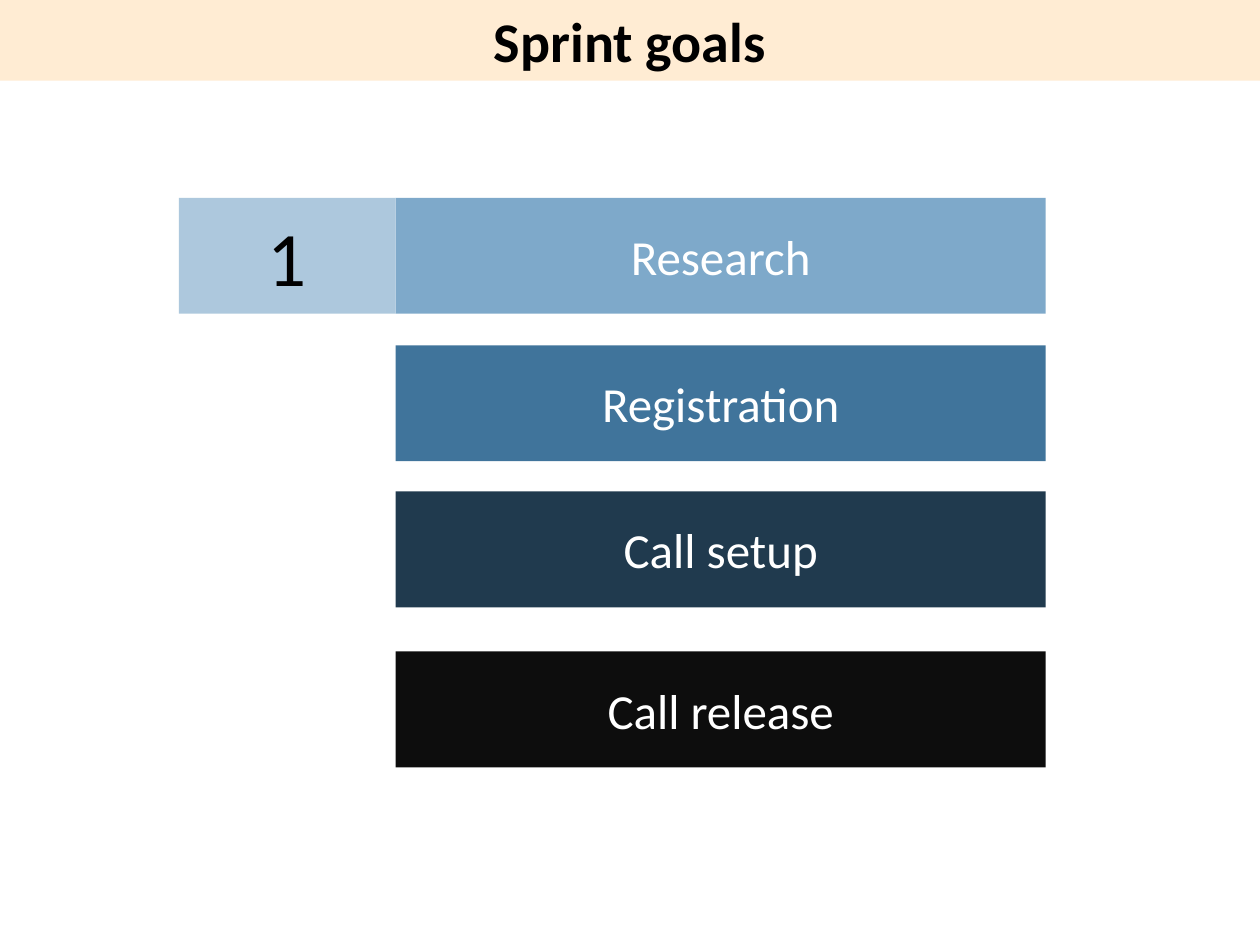
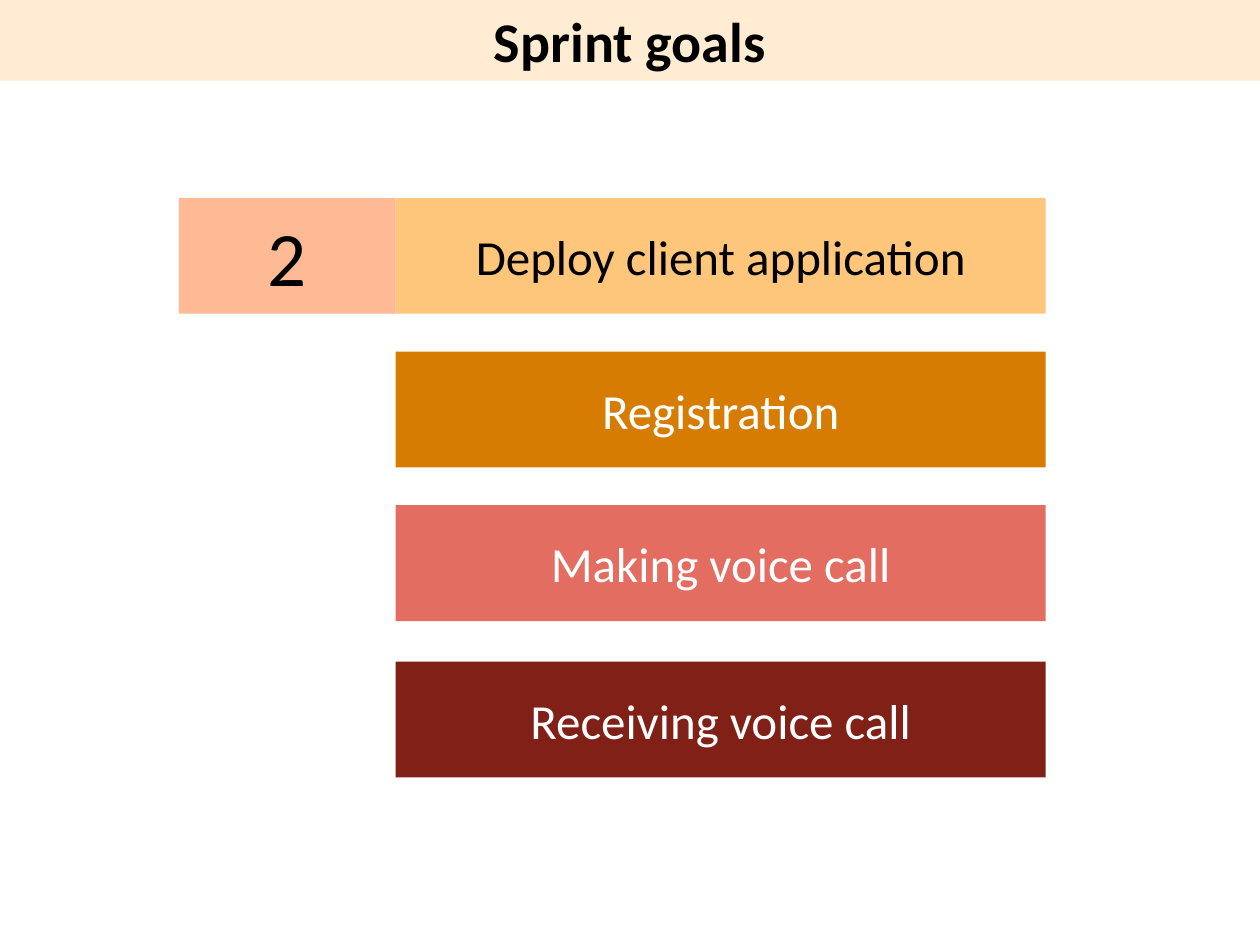
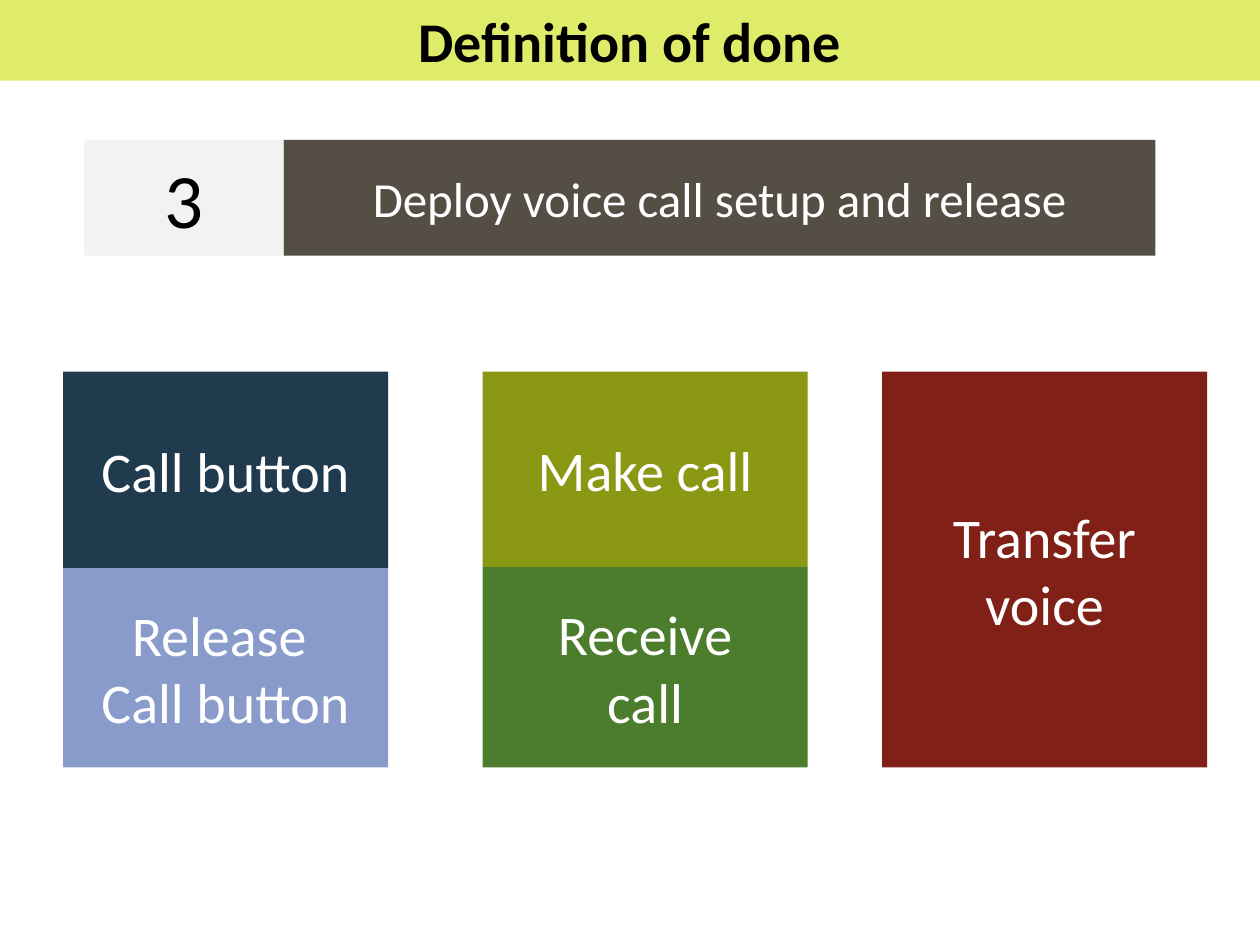
from dataclasses import dataclass

from pptx import Presentation
from pptx import util as u
from pptx.dml.color import RGBColor
from pptx.enum import shapes, text


@dataclass(frozen=True)
class Theme:
    """Colours and type sizes shared by the slides."""
    font: str = "Calibri"
    title_pt: float = 32
    number_pt: float = 44
    bar_pt: float = 28
    card_pt: float = 32
    black: str = "000000"
    white: str = "FFFFFF"
    cream: str = "FFECD3"
    lime: str = "DFEC69"
    mist: str = "ADC8DD"
    sky: str = "7EA9CA"
    steel: str = "40749B"
    navy: str = "203A4E"
    ink: str = "0D0D0D"
    peach: str = "FDBA95"
    amber: str = "FEC67B"
    orange: str = "D67C02"
    coral: str = "E36D61"
    maroon: str = "802017"
    pale: str = "F2F2F2"
    umber: str = "554E45"
    olive: str = "8B9813"
    green: str = "4B7D2C"
    lilac: str = "899BCA"


T = Theme()
SLIDE_W, SLIDE_H = 720, 540
BAND_H = 46.08
BAR_H = 66.24
NUMBER_X, BAR_X, BAR_W = 102.24, 226.08, 371.52
CARD_W, CARD_TOP, CARD_BOTTOM = 185.76, 212.4, 438.48


def apply(obj, values):
    """Set each named attribute on obj."""
    for name, value in values.items():
        setattr(obj, name, value)


def fill_shape(sp, color):
    """Give a shape a plain fill."""
    sp.fill.solid()
    sp.fill.fore_color.rgb = RGBColor.from_string(color)


def write(sp, words, size, color, bold=False, anchor=text.MSO_ANCHOR.MIDDLE):
    """Write centred lines of text into a shape."""
    tf = sp.text_frame
    apply(tf, {"word_wrap": True, "auto_size": text.MSO_AUTO_SIZE.NONE,
               "vertical_anchor": anchor})
    tf.text = words
    for p in tf.paragraphs:
        p.alignment = text.PP_ALIGN.CENTER
        for r in p.runs:
            apply(r.font, {"name": T.font, "size": u.Pt(size), "bold": bold})
            r.font.color.rgb = RGBColor.from_string(color)


def add_titled_slide(prs, title, band):
    """Add a slide whose title fills a coloured band at the top."""
    slide = prs.slides.add_slide(prs.slide_layouts[5])
    sp = slide.shapes.title
    apply(sp, {"left": 0, "top": 0, "width": u.Pt(SLIDE_W), "height": u.Pt(BAND_H)})
    fill_shape(sp, band)
    write(sp, title, T.title_pt, T.black, bold=True, anchor=text.MSO_ANCHOR.TOP)
    return slide


def add_box(parent, box, words, fill, size, color=T.white):
    """Add a flat rectangle with centred text."""
    sp = parent.shapes.add_shape(shapes.MSO_SHAPE.RECTANGLE, *map(u.Pt, box))
    sp.shadow.inherit = False
    sp.line.fill.background()
    fill_shape(sp, fill)
    write(sp, words, size, color)


def add_bar(parent, top, words, fill, color=T.white, left=BAR_X, width=BAR_W):
    """Add one wide bar."""
    add_box(parent, (left, top, width, BAR_H), words, fill, T.bar_pt, color)


def add_numbered_bar(slide, number, number_fill, number_x, top, words, fill,
                     color=T.white, left=BAR_X, width=BAR_W):
    """Add a bar grouped with the sprint number on its left."""
    group = slide.shapes.add_group_shape()
    add_bar(group, top, words, fill, color, left, width)
    add_box(group, (number_x, top, left - number_x, BAR_H), number,
            number_fill, T.number_pt, T.black)


def add_goals(prs, number, number_fill, goals):
    """Add a sprint slide with a numbered first goal and bars below it."""
    slide = add_titled_slide(prs, "Sprint goals", T.cream)
    first, *rest = goals
    add_numbered_bar(slide, number, number_fill, NUMBER_X, *first)
    for goal in rest:
        add_bar(slide, *goal)


def add_card_column(slide, left, cards):
    """Stack cards so that each one reaches down to the next."""
    tops = [top for top, _, _ in cards]
    for (top, words, fill), bottom in zip(cards, tops[1:] + [CARD_BOTTOM]):
        add_box(slide, (left, top, CARD_W, bottom - top), words, fill, T.card_pt)


def add_done(prs):
    """Add the slide that defines when the work is done."""
    slide = add_titled_slide(prs, "Definition of done", T.lime)
    add_numbered_bar(slide, "3", T.pale, 48.24, 79.92,
                     "Deploy voice call setup and release", T.umber,
                     left=162, width=498.24)
    columns = [
        (36, [(CARD_TOP, "Call button", T.navy),
              (324.72, "Release \nCall button", T.lilac)]),
        (275.76, [(CARD_TOP, "Make call", T.olive),
                  (324, "Receive\ncall", T.green)]),
        (504, [(CARD_TOP, "Transfer voice", T.maroon)]),
    ]
    for left, cards in columns:
        add_card_column(slide, left, cards)


def main():
    """Build the three slides and save them."""
    prs = Presentation()
    apply(prs, {"slide_width": u.Pt(SLIDE_W), "slide_height": u.Pt(SLIDE_H)})
    add_goals(prs, "1", T.mist, [
        (113.04, "Research", T.sky),
        (197.28, "Registration", T.steel),
        (280.8, "Call setup", T.navy),
        (372.24, "Call release", T.ink),
    ])
    add_goals(prs, "2", T.peach, [
        (113.04, "Deploy client application", T.amber, T.black),
        (200.88, "Registration", T.orange),
        (288.72, "Making voice call", T.coral),
        (378, "Receiving voice call", T.maroon),
    ])
    add_done(prs)
    prs.save("out.pptx")


if __name__ == "__main__":
    main()
